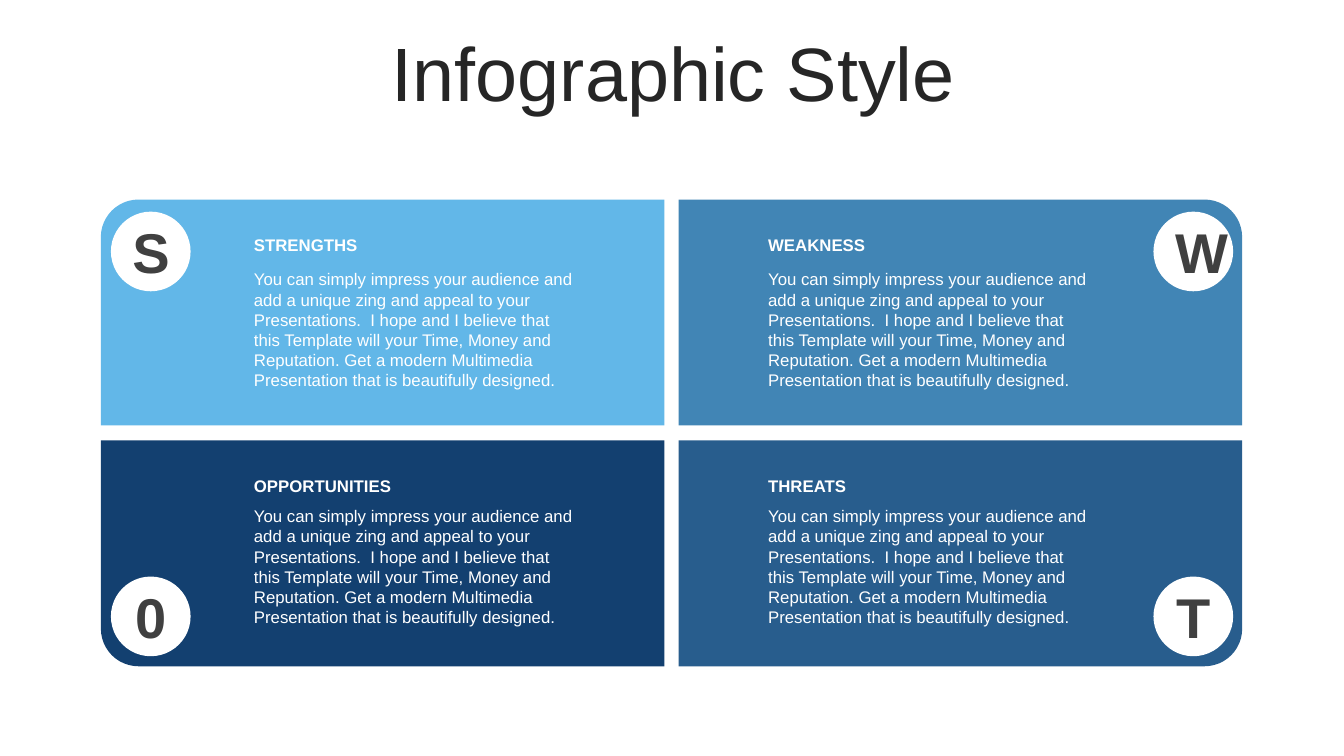
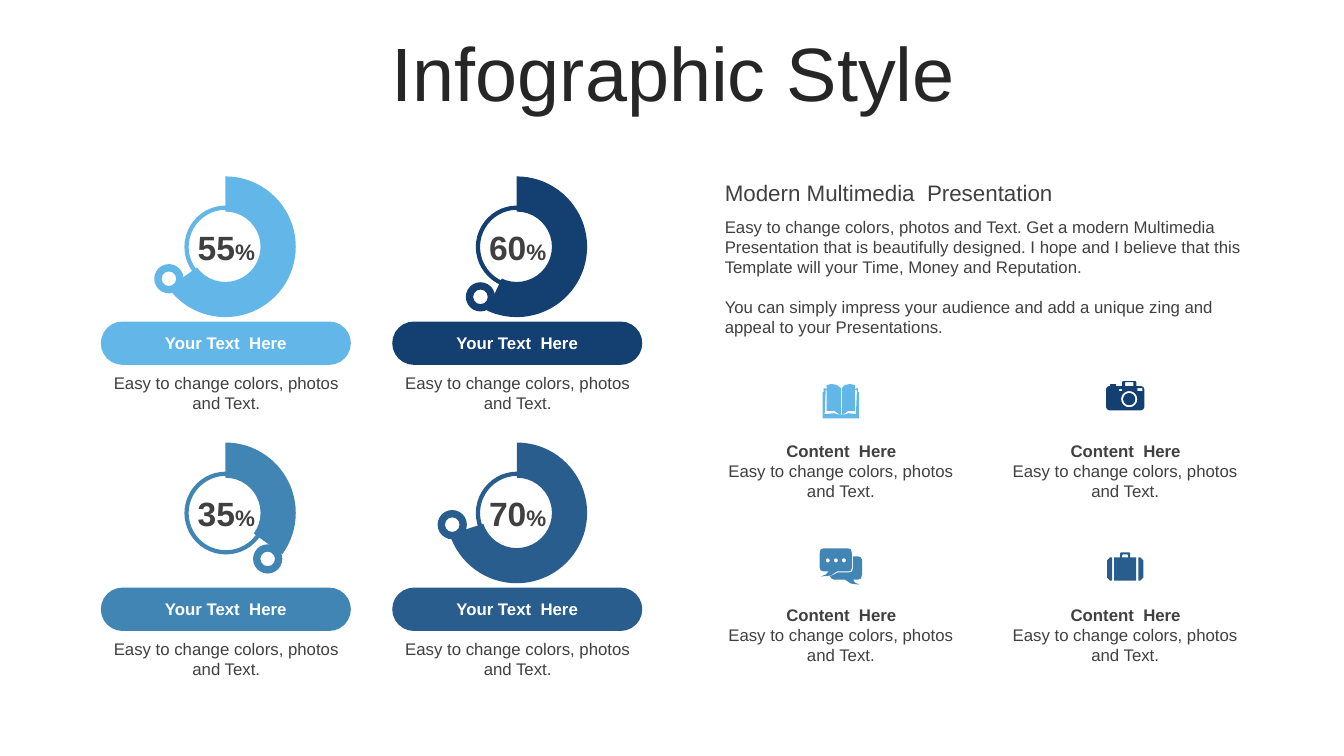
"""Build two infographic slides: a SWOT grid and a dial dashboard."""
from math import cos, pi, sin

from lxml.etree import SubElement
from pptx import Presentation
from pptx.chart.data import CategoryChartData
from pptx.dml.color import RGBColor
from pptx.enum.chart import XL_CHART_TYPE as CHART
from pptx.enum.shapes import MSO_SHAPE as SHAPE
from pptx.enum.text import MSO_ANCHOR as ANCHOR, PP_ALIGN as ALIGN
from pptx.oxml.ns import qn
from pptx.util import Emu, Pt

PX = 9144
FONT = "Arial"
SKY, STEEL, NAVY, BLUE = "62B7E8", "4185B5", "134070", "285D8D"
WHITE, DARK, TITLE_COLOR = "FFFFFF", "404040", "262626"
rgb = RGBColor.from_string


def add_shape(slide, kind, box, fill=None, line=None):
    """Add a preset shape, or a text box when kind is None."""
    lengths = [Emu(length * PX) for length in box]
    if kind is None:
        return slide.shapes.add_textbox(*lengths)
    shape = slide.shapes.add_shape(kind, *lengths)
    shape.shadow.inherit = False
    if fill:
        shape.fill.solid()
        shape.fill.fore_color.rgb = rgb(fill)
    else:
        shape.fill.background()
    if line:
        shape.line.color.rgb = rgb(line)
        shape.line.width = Pt(3)
    else:
        shape.line.fill.background()
    return shape


def write(shape, text, size=12, color=DARK, bold=False, align=ALIGN.LEFT,
          anchor=ANCHOR.TOP, spacing=None, gap=0, suffix="", suffix_size=16):
    """Fill a shape with one paragraph per line of text."""
    frame = shape.text_frame
    frame.word_wrap = True
    frame.vertical_anchor = anchor
    for index, words in enumerate(text.split("\n")):
        paragraph = frame.add_paragraph() if index else frame.paragraphs[0]
        paragraph.alignment = align
        if spacing:
            paragraph.line_spacing = spacing
        if index:
            paragraph.space_before = Pt(gap)
        for piece, piece_size in ((words, size), (suffix, suffix_size)):
            if piece:
                run = paragraph.add_run()
                run.text = piece
                run.font.name = FONT
                run.font.size = Pt(piece_size)
                run.font.bold = bold
                run.font.color.rgb = rgb(color)


presentation = Presentation()
presentation.slide_width = Emu(1333 * PX)
presentation.slide_height = Emu(750 * PX)
blank_layout = presentation.slide_layouts[6]

slides = []
for _ in range(2):
    slide = presentation.slides.add_slide(blank_layout)
    write(add_shape(slide, None, (35, 37, 1266, 79)), "Infographic Style", size=54,
          color=TITLE_COLOR, align=ALIGN.CENTER, anchor=ANCHOR.MIDDLE, spacing=0.9)
    slides.append(slide)
swot_slide, dial_slide = slides

SWOT_TEXT = (
    "You can simply impress your audience and add a unique zing and appeal to your "
    "Presentations.  I hope and I believe that this Template will your Time, Money and "
    "Reputation. Get a modern Multimedia Presentation that is beautifully designed."
)
swot_columns = [(100, 110, 242), (673, 1144, 752)]
swot_rows = [(198, 210, 228, 262), (437, 572, 467, 497)]
quadrants = [
    ("S", "STRENGTHS", SKY, 0, 0),
    ("W", "WEAKNESS", STEEL, 1, 0),
    ("0", "OPPORTUNITIES", NAVY, 0, 1),
    ("T", "THREATS", BLUE, 1, 1),
]
for letter, heading, color, column, row in quadrants:
    card_left, badge_left, text_left = swot_columns[column]
    card_top, badge_top, heading_top, body_top = swot_rows[row]
    card = add_shape(swot_slide, SHAPE.ROUND_1_RECTANGLE,
                     (card_left, card_top, 559, 224), color)
    card.rotation = 180 * row
    if column == row:
        card.element.spPr.xfrm.set("flipH", "1")
    badge = add_shape(swot_slide, SHAPE.OVAL, (badge_left, badge_top, 79, 79), WHITE)
    write(badge, letter, size=40, bold=True, align=ALIGN.CENTER, anchor=ANCHOR.MIDDLE)
    write(add_shape(swot_slide, None, (text_left, heading_top, 339, 30)), heading,
          color=WHITE, bold=True)
    write(add_shape(swot_slide, None, (text_left, body_top, 339, 131)), SWOT_TEXT,
          color=WHITE)

dials = [
    ("55", 65, SKY, 0, 0, (153, 262)),
    ("60", 57, NAVY, 1, 0, (462, 280)),
    ("35", 35, STEEL, 0, 1, (251, 540)),
    ("70", 70, BLUE, 1, 1, (434, 506)),
]
plot_layout = [("layoutTarget", "inner"), ("xMode", "edge"), ("yMode", "edge"),
               ("x", "0.043"), ("y", "0"), ("w", "0.902"), ("h", "0.998")]
for label, value, color, column, row, knob in dials:
    left, top = 100 + 289 * column, 175 + 264 * row
    data = CategoryChartData()
    data.categories = ["1", "2"]
    data.add_series("Series 1", [value, 100 - value])
    chart_box = [Emu(length * PX) for length in (left + 47, top, 155, 140)]
    chart = dial_slide.shapes.add_chart(CHART.DOUGHNUT, *chart_box, data).chart
    chart.has_legend = False
    chart.has_title = False
    chart.font.name = FONT
    chart.font.size = Pt(18)
    chart.font.color.rgb = rgb("000000")
    plot = chart.plots[0]
    plot.vary_by_categories = False
    filled, rest = [plot.series[0].points[index].format for index in range(2)]
    filled.fill.solid()
    filled.fill.fore_color.rgb = rgb(color)
    rest.fill.background()
    for part in (filled, rest):
        part.line.fill.background()
    chart_space = chart._chartSpace
    for hole in chart_space.xpath("//c:holeSize"):
        hole.set("val", "80")
    plot_area = chart_space.xpath("//c:plotArea")[0]
    for old_layout in plot_area.findall(qn("c:layout")):
        plot_area.remove(old_layout)
    layout = SubElement(plot_area, qn("c:layout"))
    plot_area.insert(0, layout)
    manual_layout = SubElement(layout, qn("c:manualLayout"))
    for name, setting in plot_layout:
        SubElement(manual_layout, qn(f"c:{name}")).set("val", setting)

    add_shape(dial_slide, SHAPE.OVAL, (left + 85, top + 31, 78, 78), line=color)
    add_shape(dial_slide, SHAPE.DONUT, (*knob, 29, 29), color)
    write(add_shape(dial_slide, None, (left + 82, top + 45, 85, 50)), label, size=24,
          bold=True, align=ALIGN.CENTER, anchor=ANCHOR.MIDDLE, suffix="%")
    pill = add_shape(dial_slide, SHAPE.ROUNDED_RECTANGLE, (left, top + 144, 248, 43), color)
    pill.adjustments[0] = 0.5
    write(pill, "Your Text  Here", color=WHITE, bold=True, align=ALIGN.CENTER,
          anchor=ANCHOR.MIDDLE)
    write(add_shape(dial_slide, None, (left + 3, top + 190, 243, 50)),
          "Easy to change colors, photos and Text.", align=ALIGN.CENTER)

write(add_shape(dial_slide, None, (709, 173, 533, 37)), "Modern Multimedia  Presentation",
      size=16)
write(add_shape(dial_slide, None, (709, 210, 533, 131)),
      "Easy to change colors, photos and Text. Get a modern Multimedia Presentation that is "
      "beautifully designed. I hope and I believe that this Template will your Time, Money "
      "and Reputation.\nYou can simply impress your audience and add a unique zing and "
      "appeal to your Presentations.", gap=14)

for column in range(2):
    for row in range(2):
        left, top = 709 + 282 * column, 432 + 163 * row
        write(add_shape(dial_slide, None, (left, top, 251, 30)), "Content  Here",
              bold=True, align=ALIGN.CENTER)
        write(add_shape(dial_slide, None, (left + 1, top + 20, 248, 50)),
              "Easy to change colors, photos and Text.", align=ALIGN.CENTER)

book = [[
    (834, 412), (835, 412), (842, 410), (849, 411), (850, 387), (848, 387), (848, 408),
    (841, 408), (835, 412), (835, 385), (838, 382), (843, 381), (848, 382), (848, 386),
    (851, 385), (851, 389), (852, 389), (852, 415), (816, 415), (816, 389), (817, 389),
    (817, 385), (820, 386), (820, 382), (825, 381), (830, 382), (834, 385), (834, 412),
    (828, 408), (820, 408), (820, 387), (819, 387), (818, 411), (827, 410),
]]
camera = [
    [(1114, 378), (1126, 378), (1127, 379), (1127, 383), (1132, 383), (1134, 384),
     (1135, 386), (1135, 404), (1134, 406), (1132, 407), (1100, 407), (1098, 406),
     (1097, 404), (1097, 386), (1098, 384), (1100, 383), (1101, 383), (1101, 381),
     (1107, 381), (1107, 383), (1113, 383), (1113, 379)],
    [(1110, 386), (1110, 388), (1113, 388), (1113, 386)],
    [(1128, 385), (1128, 388), (1133, 388), (1133, 385)],
    [(1116, 379), (1116, 383), (1124, 383), (1124, 379)],
]
bubbles = [
    [(846, 552), (851, 552), (854, 553), (855, 556), (855, 570), (854, 574), (851, 575),
     (846, 575), (848, 578), (852, 580), (844, 579), (838, 575), (827, 575), (825, 574),
     (823, 572), (831, 568), (842, 568), (845, 567), (846, 564)],
    [(817, 544), (841, 544), (844, 545), (845, 549), (845, 563), (844, 566), (841, 567),
     (830, 567), (824, 571), (814, 572), (819, 570), (822, 567), (817, 567), (814, 566),
     (813, 563), (813, 549), (814, 545)],
]
briefcase = [
    [(1129, 553), (1131, 553), (1134, 556), (1134, 573), (1131, 576), (1129, 576)],
    [(1101, 553), (1103, 553), (1103, 576), (1101, 576), (1098, 573), (1098, 556)],
    [(1114, 550), (1113, 551), (1113, 553), (1119, 553), (1119, 551), (1118, 550)],
    [(1112, 548), (1120, 548), (1121, 549), (1121, 553), (1127, 553), (1127, 576),
     (1105, 576), (1105, 553), (1111, 553), (1111, 549)],
]
icons = [
    (SKY, book, []),
    (NAVY, camera, [(1120, 396, 8), (1120, 396, 6)]),
    (STEEL, bubbles, [(821, 556, 2), (829, 556, 2), (837, 556, 2)]),
    (BLUE, briefcase, []),
]
for color, polygons, circles in icons:
    rounds = [[(x + radius * cos(step * pi / 16), y + radius * sin(step * pi / 16))
               for step in range(32)] for x, y, radius in circles]
    builder = None
    for outline in polygons + rounds:
        start, *others = [(x * PX, y * PX) for x, y in outline]
        if builder is None:
            builder = dial_slide.shapes.build_freeform(*start)
        else:
            builder.move_to(*start)
        builder.add_line_segments(others, close=True)
    icon = builder.convert_to_shape()
    icon.shadow.inherit = False
    icon.fill.solid()
    icon.fill.fore_color.rgb = rgb(color)
    icon.line.fill.background()

presentation.save("out.pptx")
